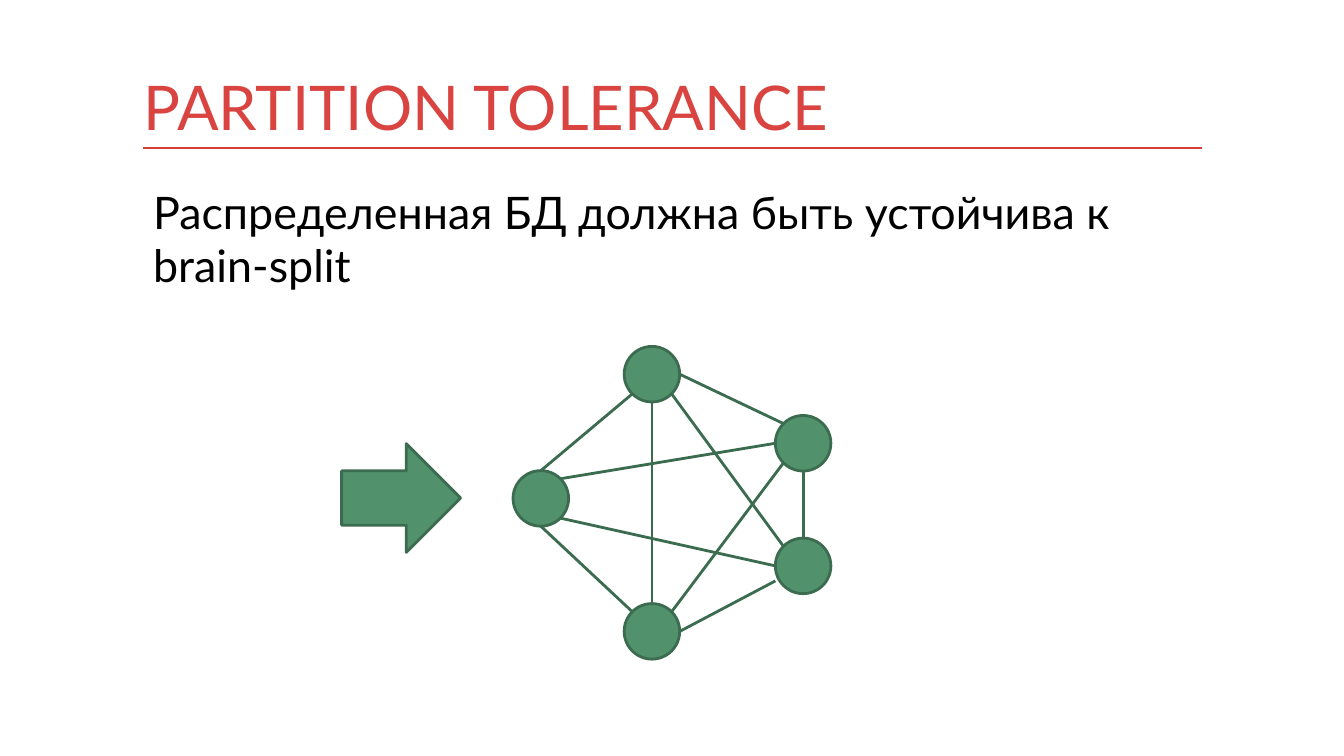
from lxml import etree
from pptx import Presentation
from pptx.dml.color import RGBColor
from pptx.enum.shapes import MSO_CONNECTOR, MSO_SHAPE
from pptx.enum.text import MSO_ANCHOR
from pptx.oxml.ns import qn
from pptx.util import Cm, Pt

STRAIGHT = MSO_CONNECTOR.STRAIGHT
CIRCLE = MSO_SHAPE.OVAL
ARROW = MSO_SHAPE.RIGHT_ARROW
TOP = MSO_ANCHOR.TOP
BOTTOM = MSO_ANCHOR.BOTTOM

LEFT, WIDTH = 3.61, 26.67
RULE_Y = 3.73
RADIUS = 0.7
DIAGONAL = 0.71

NORTH, SOUTH, WEST, EAST = (0, -1), (0, 1), (-1, 0), (1, 0)
NORTHWEST, NORTHEAST = (-DIAGONAL, -DIAGONAL), (DIAGONAL, -DIAGONAL)
SOUTHWEST, SOUTHEAST = (-DIAGONAL, DIAGONAL), (DIAGONAL, DIAGONAL)
LOW_WEST = (-1, 0.54)

NODES = {
    "top": (16.43, 9.43),
    "left": (13.63, 12.56),
    "bottom": (16.43, 15.91),
    "upper": (20.24, 11.17),
    "lower": (20.24, 14.26),
}

LINKS = [
    ("top", SOUTHWEST, "left", NORTH),
    ("left", SOUTH, "bottom", NORTHWEST),
    ("upper", NORTHWEST, "top", EAST),
    ("upper", SOUTH, "lower", NORTH),
    ("lower", LOW_WEST, "bottom", EAST),
    ("upper", SOUTHWEST, "bottom", NORTHEAST),
    ("top", SOUTHEAST, "lower", NORTHWEST),
    ("top", SOUTH, "bottom", NORTH),
    ("upper", WEST, "left", NORTHEAST),
    ("lower", WEST, "left", SOUTHEAST),
]


def color(value):
    return RGBColor.from_string(value)


def site(node, direction):
    return [c + RADIUS * d for c, d in zip(NODES[node], direction)]


class Painter:
    """Draws styled elements on the current slide."""

    font = "Lato"
    fill = "51926C"
    outline = "3C6C50"

    def __init__(self, page):
        self.page = page

    def text(self, content, top, height, size, ink, anchor, inset):
        box = self.page.shapes.add_textbox(Cm(LEFT), Cm(top), Cm(WIDTH), Cm(height))
        frame = box.text_frame
        frame.word_wrap = True
        frame.vertical_anchor = anchor
        frame.margin_left = frame.margin_right = Cm(inset)
        para = frame.paragraphs[0]
        para.text = content
        para.font.name = self.font
        para.font.size = Pt(size)
        para.font.color.rgb = color(ink)

    def line(self, start, end, ink=outline, width=2):
        connector = self.page.shapes.add_connector(
            STRAIGHT, *[Cm(value) for value in (*start, *end)])
        connector.line.color.rgb = color(ink)
        connector.line.width = Pt(width)
        etree.SubElement(connector._element.spPr, qn("a:effectLst"))

    def shape(self, kind, left, top, width, height):
        shape = self.page.shapes.add_shape(
            kind, Cm(left), Cm(top), Cm(width), Cm(height))
        shape.shadow.inherit = False
        shape.fill.solid()
        shape.fill.fore_color.rgb = color(self.fill)
        shape.line.color.rgb = color(self.outline)
        shape.line.width = Pt(2)


def main():
    deck = Presentation()
    deck.slide_width, deck.slide_height = Cm(33.87), Cm(19.05)
    painter = Painter(deck.slides.add_slide(deck.slide_layouts[6]))

    painter.line((LEFT, RULE_Y), (LEFT + WIDTH, RULE_Y), "D83F3B", 1)
    painter.text("Распределенная БД должна быть устойчива к brain-split",
                 4.52, 13, 32, "000000", TOP, 0.25)
    painter.text("PARTITION TOLERANCE", 1.52, 2.21, 44, "D94440", BOTTOM, 0)

    for first, leaving, second, arriving in LINKS:
        painter.line(site(first, leaving), site(second, arriving))
    for x, y in NODES.values():
        painter.shape(CIRCLE, x - RADIUS, y - RADIUS, 2 * RADIUS, 2 * RADIUS)
    painter.shape(ARROW, 8.61, 11.18, 3, 2.74)

    deck.save("out.pptx")


if __name__ == "__main__":
    main()
